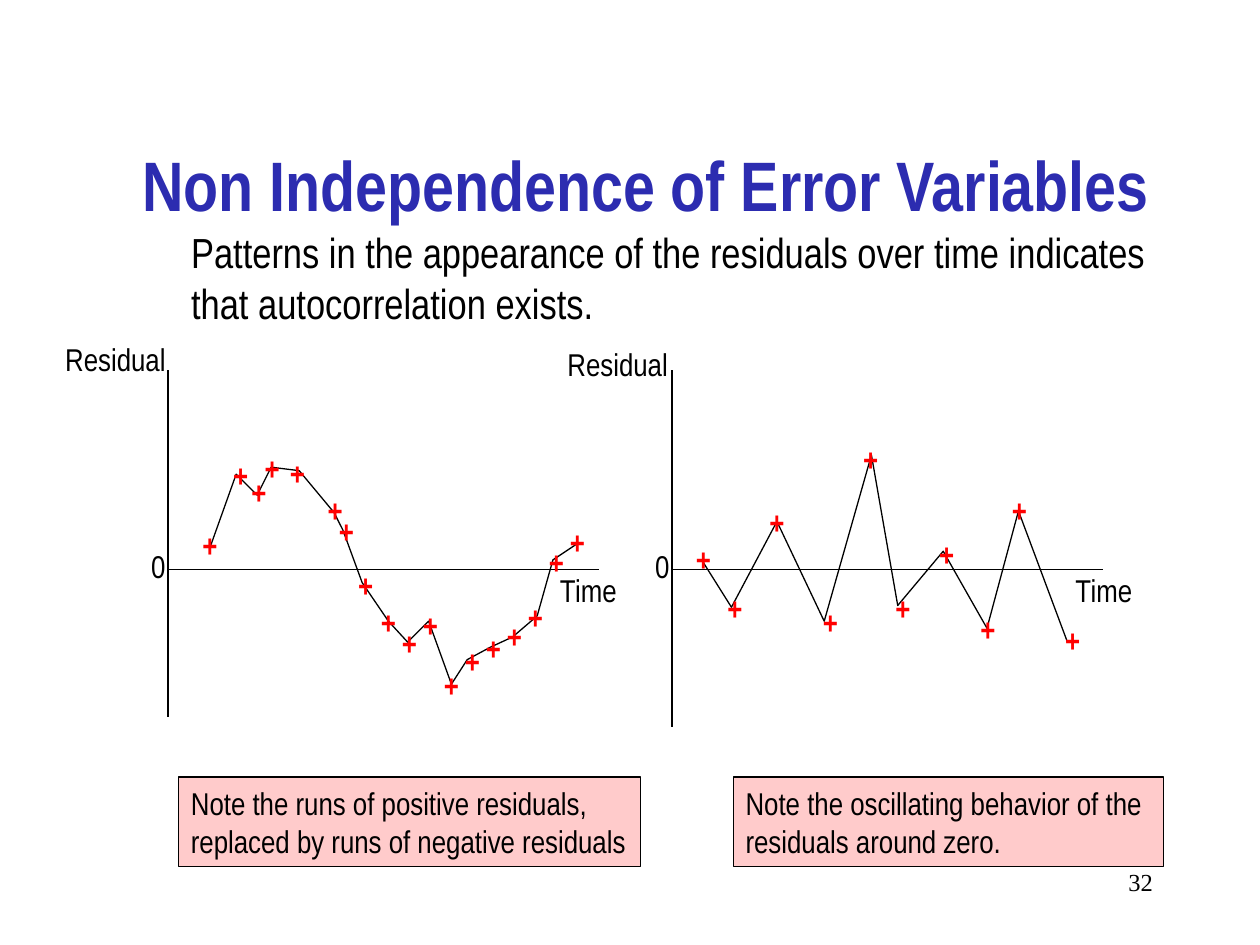
import pptx
import pptx.dml.color
import pptx.enum.shapes
import pptx.enum.text
import pptx.oxml
import pptx.oxml.ns
import pptx.util

Pt = pptx.util.Pt
RGBColor = pptx.dml.color.RGBColor
ALIGN = pptx.enum.text.PP_ALIGN
ANCHOR = pptx.enum.text.MSO_ANCHOR
AUTO_SIZE = pptx.enum.text.MSO_AUTO_SIZE
qn = pptx.oxml.ns.qn

BLACK = RGBColor(0x00, 0x00, 0x00)
TITLE_BLUE = RGBColor(0x2C, 0x2C, 0xB0)
MARK_RED = RGBColor(0xFF, 0x00, 0x00)
NOTE_PINK = RGBColor(0xFF, 0x99, 0x99)

LABEL = {"name": "Arial Narrow", "size": Pt(18), "bold": False}
MARK = {**LABEL, "bold": True}
TITLE = {**LABEL, "size": Pt(40), "bold": True}
BODY = {**LABEL, "size": Pt(24)}
NUMBER = {**LABEL, "name": "Times New Roman", "size": Pt(14)}

LABEL_HEIGHT = 28.8
MARK_WIDTH = 23

# Offsets in points from the origin of the axes; y runs downwards
RUNS = {
    "line": [(24, -12), (39, -54), (51, -42), (59, -58), (75, -56), (95, -32),
             (100, -22), (111, 8), (126, 30), (137, 42), (149, 30), (162, 66),
             (171, 52), (184, 45), (197, 39), (211, 27), (220, -5), (235, -15)],
    "marks": [(24, -14), (41.5, -54), (52, -44), (59.5, -58), (74, -55), (95.5, -34),
              (102, -22), (113, 9), (126, 30), (138, 42), (150, 32), (162, 66),
              (174, 52), (186, 45), (198, 38), (210, 27), (222, -4), (234, -16)],
    "residual": (-66, -134.6),
    "time": (216.5, -2.8),
}
OSCILLATION = {
    "line": [(17, -5), (34, 22), (59.5, -27), (87, 30), (113.5, -65.5),
             (129, 21), (155, -10), (180, 34), (198, -33), (226, 42)],
    "marks": [(18, -6), (36, 22), (60, -27), (90.5, 30), (113.5, -63),
              (132, 22), (157, -9), (180.5, 34), (198.5, -34), (229, 40)],
    "residual": (-67, -131.7),
    "time": (223, -2.8),
}


def place(shape, box):
    for name, value in zip(("left", "top", "width", "height"), box):
        setattr(shape, name, Pt(value))


def write(shape, lines, font, color=BLACK, align=ALIGN.LEFT, wrap=True,
          anchor=ANCHOR.MIDDLE, auto_size=AUTO_SIZE.SHAPE_TO_FIT_TEXT):
    frame = shape.text_frame
    frame.text = "\n".join(lines)
    frame.word_wrap = wrap
    frame.vertical_anchor = anchor
    frame.auto_size = auto_size
    for paragraph in frame.paragraphs:
        paragraph.alignment = align
        paragraph.space_before = Pt(0)
        for run in paragraph.runs:
            for name, value in font.items():
                setattr(run.font, name, value)
            run.font.color.rgb = color


def outline(shape):
    shape.line.color.rgb = BLACK
    shape.line.width = Pt(0.75)


def add_label(slide, text, box, font=LABEL, color=BLACK):
    label = slide.shapes.add_textbox(*map(Pt, box))
    write(label, [text], font, color, ALIGN.CENTER, wrap=False)


def add_axis(slide, start, end):
    axis = slide.shapes.add_connector(
        pptx.enum.shapes.MSO_CONNECTOR.STRAIGHT, *map(Pt, start + end))
    outline(axis)
    pptx.oxml.ns  # namespaces come from python-pptx
    axis._element.spPr.append(pptx.oxml.parse_xml(
        '<a:effectLst xmlns:a="http://schemas.openxmlformats.org/drawingml/2006/main"/>'))


def add_heading(slide, title_box, body_box):
    title, body = slide.shapes.title, slide.placeholders[1]
    place(title, title_box)
    write(title, ["Non Independence of Error Variables"], TITLE, TITLE_BLUE,
          ALIGN.CENTER, auto_size=AUTO_SIZE.NONE)
    place(body, body_box)
    write(body, ["Patterns in the appearance of the residuals over time "
                 "indicates that autocorrelation exists."], BODY)
    # Plain paragraph without bullet or indent
    properties = body.text_frame.paragraphs[0]._p.get_or_add_pPr()
    properties.set("marL", "0")
    properties.set("indent", "0")
    properties.append(properties.makeelement(qn("a:buNone"), {}))


def add_residual_plot(slide, box, zero, series):
    left, top, width, height = box

    # Line through the residuals
    points = [(left + x, zero + y) for x, y in series["line"]]
    builder = slide.shapes.build_freeform(*points[0], scale=Pt(1))
    builder.add_line_segments(points[1:], close=False)
    curve = builder.convert_to_shape()
    curve.shadow.inherit = False
    curve.fill.background()
    outline(curve)

    # Axes
    add_axis(slide, (left, top), (left, top + height))
    add_axis(slide, (left, zero), (left + width, zero))

    # Marks, centred on their values
    for x, y in series["marks"]:
        add_label(slide, "+", (left + x - MARK_WIDTH / 2, zero + y - LABEL_HEIGHT / 2,
                               MARK_WIDTH, LABEL_HEIGHT), MARK, MARK_RED)

    # Axis labels
    for text, (x, y), label_width in (("Residual", series["residual"], 72),
                                      ("Time", series["time"], 47.5),
                                      ("0", (-17, -16.5), MARK_WIDTH)):
        add_label(slide, text, (left + x, zero + y, label_width, LABEL_HEIGHT))


def add_note(slide, box, lines):
    note = slide.shapes.add_shape(
        pptx.enum.shapes.MSO_SHAPE.RECTANGLE, *map(Pt, box))
    note.shadow.inherit = False
    note.fill.solid()
    note.fill.fore_color.rgb = NOTE_PINK
    color = note._element.spPr.find(qn("a:solidFill")).find(qn("a:srgbClr"))
    color.append(color.makeelement(qn("a:alpha"), {"val": "50000"}))
    outline(note)
    write(note, lines, LABEL, wrap=False)


def add_slide_number(slide, box):
    number = slide.shapes.add_textbox(*map(Pt, box))
    write(number, ["32"], NUMBER, align=ALIGN.RIGHT, anchor=ANCHOR.TOP,
          auto_size=AUTO_SIZE.NONE)


def main():
    presentation = pptx.Presentation()
    presentation.slide_width, presentation.slide_height = Pt(720), Pt(540)
    slide = presentation.slides.add_slide(presentation.slide_layouts[1])

    add_heading(slide, (63, 60, 612, 90), (102, 126, 570, 64.8))
    add_residual_plot(slide, (96, 211.5, 246, 198), 325.4, RUNS)
    add_residual_plot(slide, (384, 211.5, 246, 204), 325.4, OSCILLATION)
    add_note(slide, (102, 444, 264, 51),
             ["Note the runs of positive residuals,",
              "replaced by runs of negative residuals"])
    add_note(slide, (419, 444, 246, 51),
             ["Note the oscillating behavior of the",
              "residuals around zero."])
    add_slide_number(slide, (516, 492, 150, 36))

    presentation.save("out.pptx")


if __name__ == "__main__":
    main()
